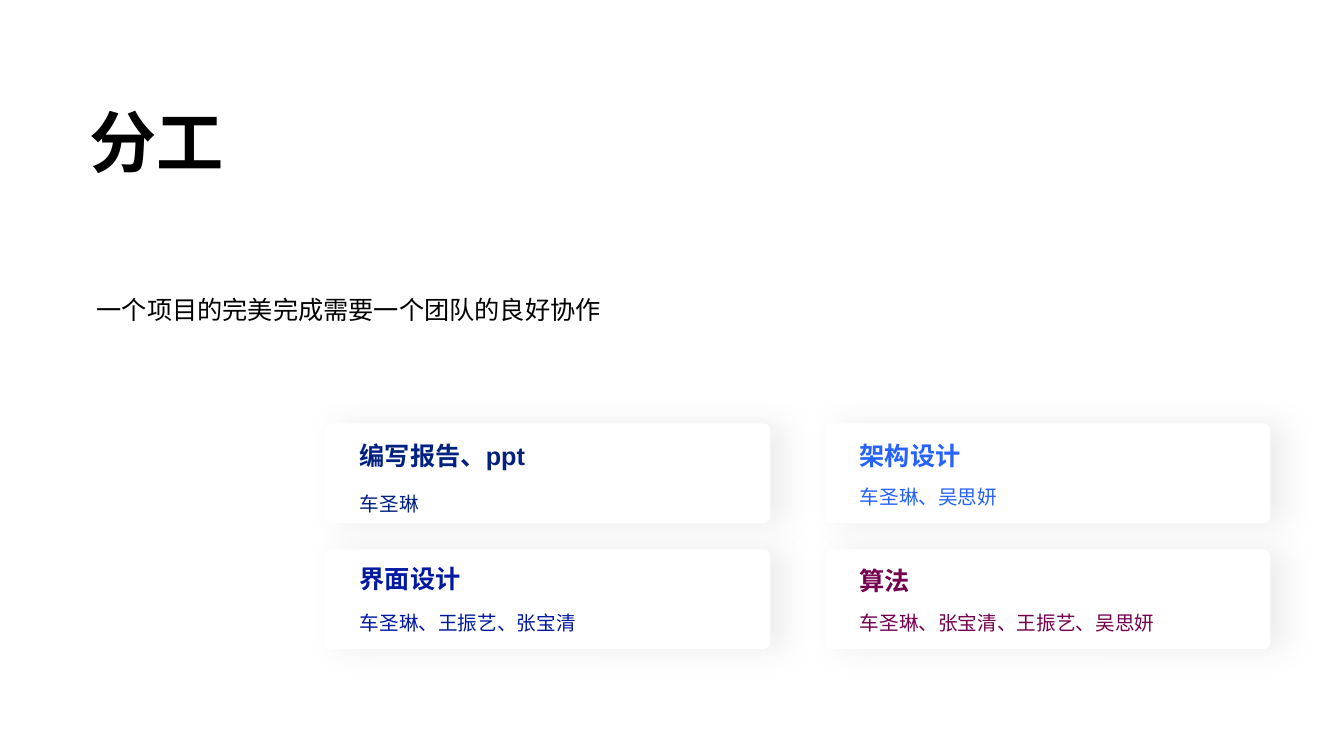
from lxml import etree
from pptx import Presentation
from pptx import util as u
from pptx.dml.color import RGBColor
from pptx.enum import shapes, text
from pptx.oxml import parse_xml
from pptx.oxml.ns import nsdecls

WHITE = RGBColor(0xFF, 0xFF, 0xFF)
BLACK = RGBColor(0x00, 0x00, 0x00)
NAVY = RGBColor(0x00, 0x21, 0x7F)
SKY = RGBColor(0x26, 0x62, 0xFF)
ROYAL = RGBColor(0x00, 0x19, 0xA3)
PLUM = RGBColor(0x75, 0x00, 0x50)
SHADOW = RGBColor(0xA6, 0xA6, 0xA6)

CARD_LEFT, CARD_TOP = 24.16, 56
CARD_WIDTH, CARD_HEIGHT = 33.16, 13.2
COLUMN_STEP, ROW_STEP = 37.2, 16.67
TEXT_INDENT = 1.87

CARDS = [
    (0, 0, "编写报告、ppt", "车圣琳", NAVY, 1.6, 7.73),
    (1, 0, "架构设计", "车圣琳、吴思妍", SKY, 1.6, 6.93),
    (0, 1, "界面设计", "车圣琳、王振艺、张宝清", ROYAL, 1.2, 6.8),
    (1, 1, "算法", "车圣琳、张宝清、王振艺、吴思妍", PLUM, 1.47, 6.8),
]


class Deck:
    font = "Arial"

    def __init__(self):
        self.prs = Presentation()
        self.prs.slide_width = u.Inches(13.33)
        self.prs.slide_height = u.Inches(7.5)
        self.s = self.prs.slides.add_slide(self.prs.slide_layouts[6])

    def box(self, x, y, w, h):
        width, height = self.prs.slide_width, self.prs.slide_height
        return [int(share * size / 100) for share, size in
                ((x, width), (y, height), (w, width), (h, height))]

    def label(self, x, y, w, h, words, size, color, bold=False, wrap=True):
        tf = self.s.shapes.add_textbox(*self.box(x, y, w, h)).text_frame
        tf.text = words
        tf.word_wrap = wrap
        p = tf.paragraphs[0]
        if bold:
            tf.vertical_anchor = text.MSO_ANCHOR.BOTTOM
        else:
            tf.auto_size = text.MSO_AUTO_SIZE.SHAPE_TO_FIT_TEXT
            p.line_spacing = 1.2
        f = p.runs[0].font
        f.name, f.size, f.bold = self.font, u.Pt(size), bold
        f.color.rgb = color

    def panel(self, x, y, w, h):
        sp = self.s.shapes.add_shape(
            shapes.MSO_SHAPE.ROUNDED_RECTANGLE, *self.box(x, y, w, h))
        sp.adjustments[0] = 0.07
        sp.fill.solid()
        sp.fill.fore_color.rgb = WHITE
        sp.line.fill.background()
        sp._element.spPr.append(parse_xml(
            f'<a:effectLst {nsdecls("a")}>'
            f'<a:outerShdw blurRad="{u.Pt(20)}" dist="{u.Pt(10)}" dir="0" '
            f'algn="l" rotWithShape="0"><a:srgbClr val="{SHADOW}">'
            '<a:alpha val="20000"/></a:srgbClr></a:outerShdw></a:effectLst>'))

    def card(self, column, row, task, people, color, task_drop, people_drop):
        x = CARD_LEFT + column * COLUMN_STEP
        y = CARD_TOP + row * ROW_STEP
        self.panel(x, y, CARD_WIDTH, CARD_HEIGHT)
        x += TEXT_INDENT
        self.label(x, y + task_drop, 16.43, 5.33, task, 18, color,
                   bold=True, wrap=False)
        self.label(x, y + people_drop, 29.78, 4.8, people, 14, color)


def main():
    deck = Deck()
    deck.label(5.93, 9.73, 89.12, 14.93, "分工", 48, BLACK, bold=True)
    deck.label(6.45, 37.47, 45.09, 5.73,
               "一个项目的完美完成需要一个团队的良好协作", 18, BLACK)
    for card in CARDS:
        deck.card(*card)
    deck.prs.save("out.pptx")


if __name__ == "__main__":
    main()
